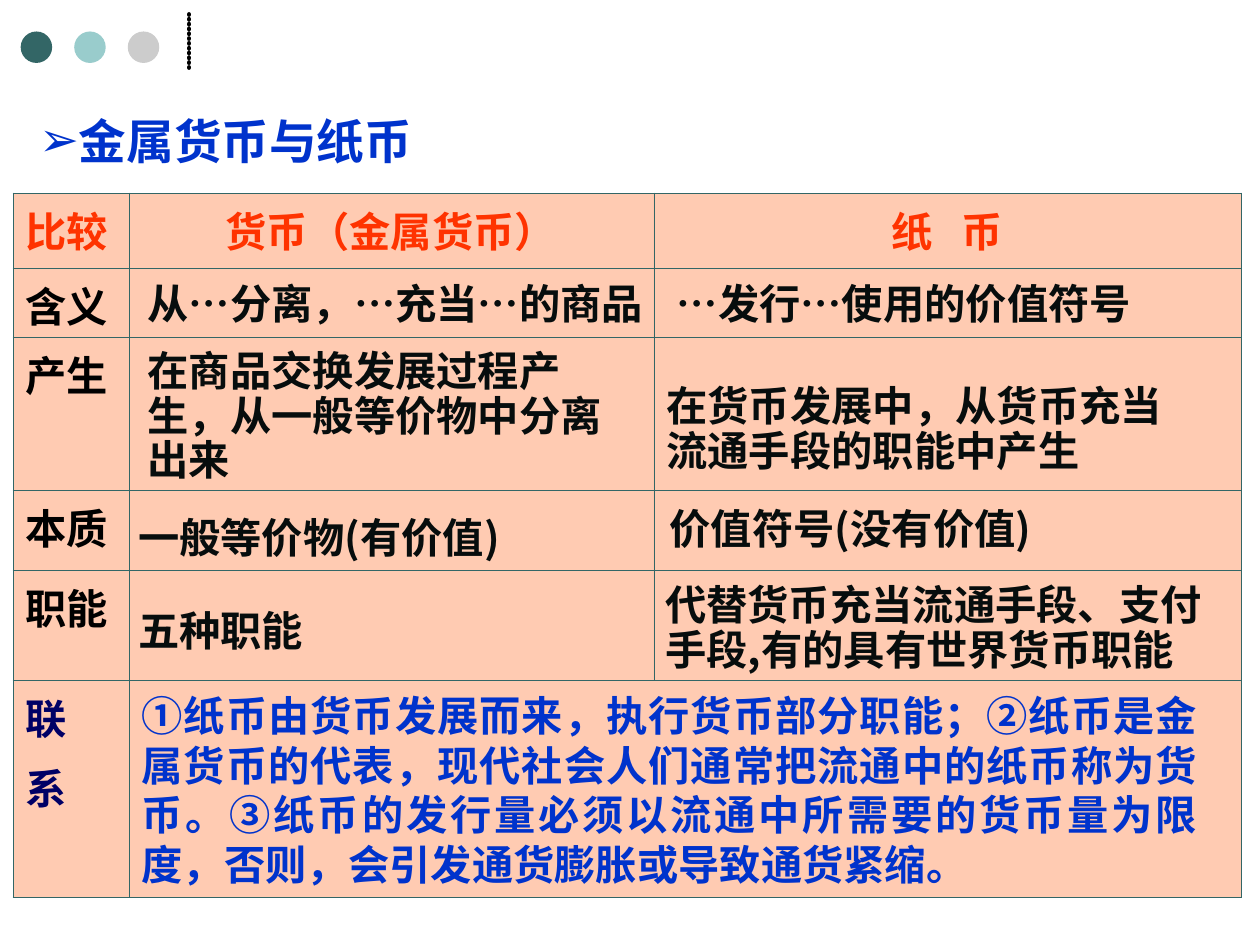
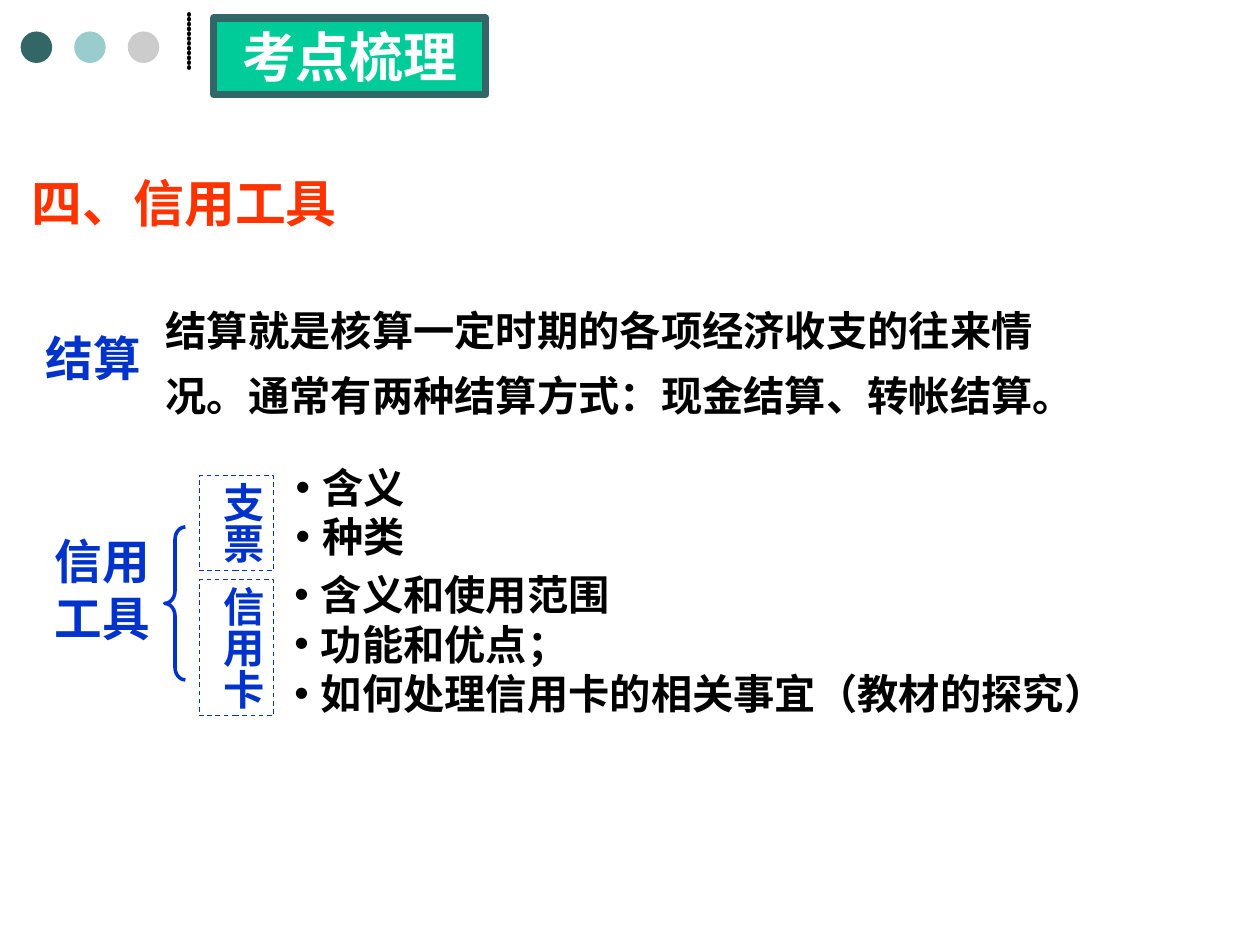
import pptx
import pptx.util
import pptx.dml.color
import pptx.enum.dml
import pptx.enum.shapes
import pptx.enum.text
import pptx.oxml.ns
import lxml.etree

Cm = pptx.util.Cm
Pt = pptx.util.Pt
SHAPE = pptx.enum.shapes.MSO_SHAPE
ALIGN = pptx.enum.text.PP_ALIGN
ANCHOR = pptx.enum.text.MSO_ANCHOR
DASH = pptx.enum.dml.MSO_LINE

EAST_ASIAN = "Noto Sans CJK SC"
BLACK, INK, NAVY = "000000", "070D0D", "000066"
BLUE, RED, WHITE = "0033CC", "FF3300", "FFFFFF"
TEAL, AQUA, GRAY, GREEN, PEACH = "336666", "99CCCC", "CCCCCC", "00CC99", "FF9966"


def color(value):
    return pptx.dml.color.RGBColor.from_string(value)


def add_element(parent, tag, **attributes):
    element = lxml.etree.SubElement(parent, pptx.oxml.ns.qn(tag))
    for name, value in attributes.items():
        element.set(name, str(value))
    return element


def write(frame, text, size=26, ink=BLACK, font=EAST_ASIAN, align=ALIGN.LEFT,
          line=1.2, before=0, bullet=None, indent=0, tracking=0):
    for index, content in enumerate(text.split("\n")):
        paragraph = frame.add_paragraph() if index else frame.paragraphs[0]
        paragraph.alignment = align
        if line:
            paragraph.line_spacing = Pt(round(size * line, 1))
        if before and index:
            paragraph.space_before = Pt(before)
        properties = paragraph._p.get_or_add_pPr()
        properties.set("hangingPunct", "0")
        if bullet:
            properties.set("marL", str(Cm(indent)))
            properties.set("indent", str(-Cm(indent)))
            add_element(add_element(properties, "a:buClr"), "a:srgbClr", val=ink)
            add_element(properties, "a:buFont", typeface="Arial")
            add_element(properties, "a:buChar", char=bullet)
        run = paragraph.add_run()
        run.text = content
        run.font.size = Pt(size)
        run.font.bold = True
        run.font.color.rgb = color(ink)
        run.font.name = font
        run_properties = run._r.get_or_add_rPr()
        add_element(run_properties, "a:ea", typeface=EAST_ASIAN)
        if tracking:
            run_properties.set("spc", str(tracking))


def set_margins(target, left, top, right, bottom):
    target.margin_left, target.margin_top = Cm(left), Cm(top)
    target.margin_right, target.margin_bottom = Cm(right), Cm(bottom)


class Deck:
    def __init__(self):
        self.presentation = pptx.Presentation()
        self.presentation.slide_width = Cm(28)
        self.presentation.slide_height = Cm(21)
        self.slide = None

    def new_slide(self):
        self.slide = self.presentation.slides.add_slide(self.presentation.slide_layouts[6])
        self.dotted_line(4.2, 0.23, 1.5)
        for index, fill in enumerate((TEAL, AQUA, GRAY)):
            self.shape(SHAPE.OVAL, 0.46 + index * 1.19, 0.7, 0.7, 0.7, fill=fill)

    def dotted_line(self, x, top, bottom):
        connector = self.slide.shapes.add_connector(
            pptx.enum.shapes.MSO_CONNECTOR.STRAIGHT, Cm(x), Cm(bottom), Cm(x), Cm(top))
        connector.line.color.rgb = color(BLACK)
        connector.line.width = Pt(3)
        line = connector.line._get_or_add_ln()
        line.set("cap", "rnd")
        add_element(add_element(line, "a:custDash"), "a:ds", d=100000, sp=1000)
        add_element(connector._element.spPr, "a:effectLst")

    def shape(self, kind, left, top, width, height, fill=None, line=None, weight=0.75, dash=None):
        shape = self.slide.shapes.add_shape(kind, Cm(left), Cm(top), Cm(width), Cm(height))
        shape.shadow.inherit = False
        if fill:
            shape.fill.solid()
            shape.fill.fore_color.rgb = color(fill)
        else:
            shape.fill.background()
        if line:
            shape.line.color.rgb = color(line)
            shape.line.width = Pt(weight)
            if dash:
                shape.line.dash_style = dash
        else:
            shape.line.fill.background()
        return shape

    def text(self, left, top, width, height, content, **style):
        box = self.slide.shapes.add_textbox(Cm(left), Cm(top), Cm(width), Cm(height))
        box.text_frame.word_wrap = True
        set_margins(box.text_frame, 0.28, 0.13, 0.28, 0.13)
        write(box.text_frame, content, **style)

    def banner(self, content):
        shape = self.shape(SHAPE.RECTANGLE, 4.75, 0.4, 6.05, 1.7, GREEN, TEAL, 4.5)
        shape.text_frame.vertical_anchor = ANCHOR.MIDDLE
        set_margins(shape.text_frame, 0.28, 0.13, 0.28, 0.13)
        write(shape.text_frame, content, size=34, ink=WHITE, font="Times New Roman",
              align=ALIGN.CENTER, line=None)

    def vertical_label(self, top, height, content):
        shape = self.shape(SHAPE.RECTANGLE, 4.43, top, 1.65, height, line=BLUE, dash=DASH.DASH)
        frame = shape.text_frame
        frame.vertical_anchor = ANCHOR.TOP
        set_margins(frame, 0, 0.15, 0.14, 0)
        frame._txBody.bodyPr.set("vert", "eaVert")
        write(frame, content, ink=BLUE, line=None)

    def brace(self, left, top, width, height):
        shape = self.shape(SHAPE.LEFT_BRACE, left, top, width, height, line=BLUE, weight=2.25)
        shape.adjustments[0] = 0.6

    def table(self, left, top, widths, heights):
        rows, columns = len(heights), len(widths)
        table = self.slide.shapes.add_table(
            rows, columns, Cm(left), Cm(top), Cm(sum(widths)), Cm(sum(heights))).table
        table.first_row = table.horz_banding = False
        for column, width in zip(table.columns, widths):
            column.width = Cm(width)
        for row, height in zip(table.rows, heights):
            row.height = Cm(height)
        for row in range(rows):
            for column in range(columns):
                outer = {"a:lnL": column == 0, "a:lnR": column == columns - 1,
                         "a:lnT": row == 0, "a:lnB": row == rows - 1}
                self.style_cell(table.cell(row, column), outer)
        return table

    def style_cell(self, cell, outer):
        properties = cell._tc.get_or_add_tcPr()
        for side, is_outer in outer.items():
            line = add_element(properties, side, w=Pt(1.08 if is_outer else 0.45))
            add_element(add_element(line, "a:solidFill"), "a:srgbClr", val=TEAL)
        cell.fill.solid()
        cell.fill.fore_color.rgb = color(PEACH)
        solid_fill = properties.find(pptx.oxml.ns.qn("a:solidFill"))
        add_element(solid_fill[0], "a:alpha", val=50000)

    def cell_text(self, cell, content, **style):
        set_margins(cell, 0.26, 0.13, 0.28, 0.13)
        write(cell.text_frame, content, font="Arial", line=None, **style)


def comparison_slide(deck):
    deck.new_slide()
    deck.text(0.59, 2.35, 11.2, 1.6, "金属货币与纸币", size=30, ink=BLUE, bullet="➢", indent=0.86)
    table = deck.table(0.3, 4.3, (2.57, 11.66, 13.06), (1.66, 1.54, 3.4, 1.78, 2.44, 4.82))
    table.cell(5, 1).merge(table.cell(5, 2))

    headings = (("比较", ALIGN.LEFT, 0), ("货币（金属货币）", ALIGN.CENTER, 0),
                ("纸 币", ALIGN.CENTER, 600))
    for column, (heading, align, tracking) in enumerate(headings):
        deck.cell_text(table.cell(0, column), heading, ink=RED, align=align, tracking=tracking)
    aspects = ("含义", "产生", "本质", "职能", "联\n系")
    for row, aspect in enumerate(aspects, 1):
        deck.cell_text(table.cell(row, 0), aspect, ink=NAVY if row == 5 else BLACK, before=6.5)

    entries = (
        (3, 6.1, 11.61, 1.32, "从…分离，…充当…的商品", 1.14),
        (14.76, 6.1, 11.43, 1.32, "…发行…使用的价值符号", 1.14),
        (3, 7.65, 11.2, 3.2, "在商品交换发展过程产生，从一般等价物中分离出来", 1.08),
        (14.53, 8.43, 12.14, 2.26, "在货币发展中，从货币充当流通手段的职能中产生", 1.08),
        (2.79, 11.3, 9.8, 1.32, "一般等价物(有价值)", 1.14),
        (14.6, 11.1, 12.6, 1.32, "价值符号(没有价值)", 1.14),
        (2.79, 13.31, 4.4, 1.37, "五种职能", 1.2),
        (14.5, 12.85, 13.31, 2.26, "代替货币充当流通手段、支付手段,有的具有世界货币职能", 1.08),
    )
    for left, top, width, height, content, line in entries:
        deck.text(left, top, width, height, content, ink=INK, line=line)
    deck.text(
        2.87, 15.21, 24.03, 4.67,
        "①纸币由货币发展而来，执行货币部分职能；②纸币是金属货币的代表，"
        "现代社会人们通常把流通中的纸币称为货币。③纸币的发行量必须以流通中"
        "所需要的货币量为限度，否则，会引发通货膨胀或导致通货紧缩。",
        ink=BLUE, align=ALIGN.JUSTIFY)


def credit_slide(deck):
    deck.new_slide()
    deck.banner("考点梳理")
    deck.text(0.2, 3.68, 7.8, 1.63, "四、信用工具", size=32, ink=RED, align=ALIGN.CENTER)
    deck.text(0.73, 7.19, 4.47, 1.55, "结算", size=30, ink=BLUE)
    deck.text(3.4, 6.33, 21.41, 3.12,
              "结算就是核算一定时期的各项经济收支的往来情况。通常有两种结算方式：现金结算、转帐结算。",
              line=1.56)
    deck.text(0.61, 11.68, 3, 2.82, "信用工具", size=30, ink=BLUE, align=ALIGN.RIGHT)
    deck.brace(3.66, 11.71, 0.46, 3.4)
    deck.vertical_label(10.57, 2.11, "支票")
    deck.vertical_label(12.88, 3.02, "信用卡")
    deck.text(6.29, 10.14, 3.5, 2.46, "含义\n种类", bullet="•", indent=0.59)
    deck.text(6.26, 12.52, 19.13, 3.58,
              "含义和使用范围\n功能和优点；\n如何处理信用卡的相关事宜（教材的探究）",
              bullet="•", indent=0.59)


def main():
    deck = Deck()
    comparison_slide(deck)
    credit_slide(deck)
    deck.presentation.save("out.pptx")


if __name__ == "__main__":
    main()
